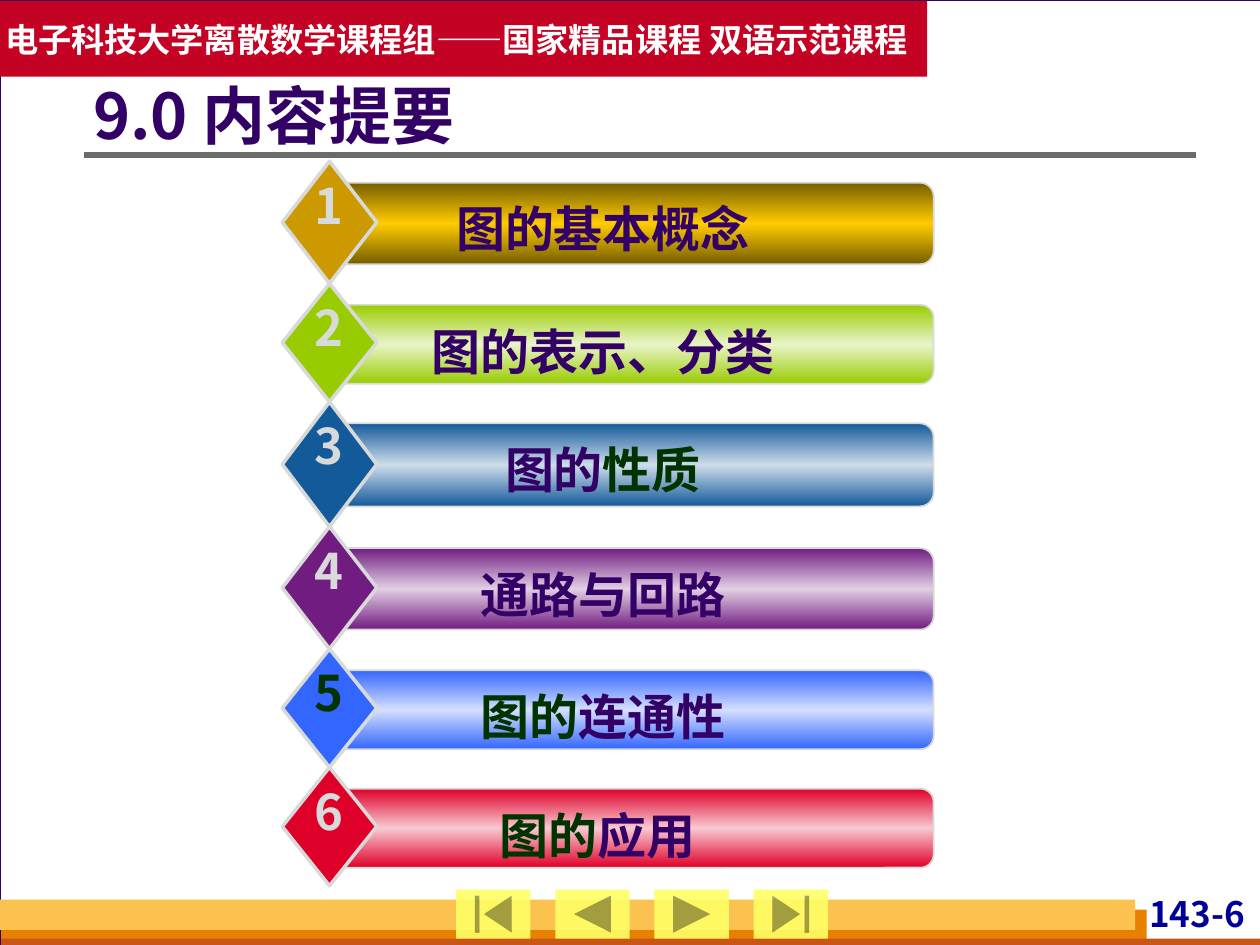
from copy import deepcopy
from dataclasses import dataclass

from lxml.etree import SubElement
from pptx import Presentation
from pptx.dml.color import RGBColor
from pptx.enum.shapes import MSO_CONNECTOR, MSO_SHAPE
from pptx.enum.text import MSO_ANCHOR, MSO_AUTO_SIZE, PP_ALIGN
from pptx.oxml.ns import qn
from pptx.util import Inches, Pt


@dataclass(frozen=True)
class Theme:
    font: str = "Noto Sans CJK SC"
    white: str = "FFFFFF"
    purple: str = "330066"
    green: str = "003300"
    silver: str = "D8DADA"
    navy: str = "000099"
    rule: str = "6B6B6B"
    banner: str = "C30224"
    button: str = "FFFF66"
    amber: str = "FCC24F"
    orange: str = "E88000"
    rust: str = "C95616"
    title_size: int = 36
    item_size: int = 28
    page_size: int = 20
    banner_size: int = 19


theme = Theme()


def add_block(shapes, kind, box, fill=None, line=None, line_width=1):
    """Add a preset shape without shadow; box is left, top, width, height in inches."""
    block = shapes.add_shape(kind, *(Inches(length) for length in box))
    block.shadow.inherit = False
    if fill:
        block.fill.solid()
        block.fill.fore_color.rgb = RGBColor.from_string(fill)
    if line:
        block.line.color.rgb = RGBColor.from_string(line)
        block.line.width = Pt(line_width)
    else:
        block.line.fill.background()
    return block


def write(shape, runs, size, align=PP_ALIGN.LEFT, anchor=MSO_ANCHOR.TOP,
          wrap=True, margins=(0.1, 0.05, 0.1, 0.05)):
    """Fill a shape with one bold paragraph of (text, colour) runs."""
    frame = shape.text_frame
    frame.auto_size = MSO_AUTO_SIZE.NONE
    frame.word_wrap = wrap
    frame.vertical_anchor = anchor
    (frame.margin_left, frame.margin_top,
     frame.margin_right, frame.margin_bottom) = map(Inches, margins)
    paragraph = frame.paragraphs[0]
    paragraph.alignment = align
    for text, color in runs:
        run = paragraph.add_run()
        run.text = text
        run.font.size = Pt(size)
        run.font.bold = True
        run.font.color.rgb = RGBColor.from_string(color)
        run.font.name = theme.font
        SubElement(run.font._element, qn("a:ea")).set("typeface", theme.font)


prs = Presentation()
prs.slide_width, prs.slide_height = Inches(10), Inches(7.5)
slide = prs.slides.add_slide(prs.slide_layouts[5])
shapes = slide.shapes
slide.background.fill.solid()
slide.background.fill.fore_color.rgb = RGBColor.from_string(theme.silver)

# Page and footer bands
add_block(shapes, MSO_SHAPE.RECTANGLE, (0, 0, 10.01, 7.5), theme.white, theme.purple, 0.75)
footer_bands = [
    ((0.01, 7.22, 9.09, 0.28), theme.orange),
    ((0.01, 7.45, 10, 0.08), theme.rust),
    ((0, 7.14, 9.01, 0.24), theme.amber),
]
for box, color in footer_bands:
    add_block(shapes, MSO_SHAPE.RECTANGLE, box, color)

page_number = shapes.add_textbox(Inches(8.7), Inches(7.08), Inches(1.22), Inches(0.38))
write(page_number, [("143-6", theme.navy)], theme.page_size, PP_ALIGN.RIGHT,
      margins=(0.04, 0, 0.04, 0))

title_rule = shapes.add_connector(
    MSO_CONNECTOR.STRAIGHT, Inches(0.67), Inches(1.23), Inches(9.49), Inches(1.23))
title_rule.line.color.rgb = RGBColor.from_string(theme.rule)
title_rule.line.width = Pt(3)
SubElement(title_rule.element.spPr, qn("a:effectLst"))

# Navigation buttons
button_kinds = [
    MSO_SHAPE.ACTION_BUTTON_BEGINNING,
    MSO_SHAPE.ACTION_BUTTON_BACK_OR_PREVIOUS,
    MSO_SHAPE.ACTION_BUTTON_FORWARD_OR_NEXT,
    MSO_SHAPE.ACTION_BUTTON_END,
]
for index, kind in enumerate(button_kinds):
    button = add_block(shapes, kind, (3.62 + 0.787 * index, 7.06, 0.59, 0.39), theme.button)
    button_color = button.element.spPr.find(qn("a:solidFill"))[0]
    SubElement(button_color, qn("a:alpha")).set("val", "90000")

# Banner and title
banner = add_block(shapes, MSO_SHAPE.RECTANGLE, (0, 0.01, 7.36, 0.6), theme.banner)
write(banner, [("电子科技大学离散数学课程组——国家精品课程 双语示范课程", theme.white)],
      theme.banner_size, anchor=MSO_ANCHOR.MIDDLE, wrap=False,
      margins=(0.04, 0.05, 0.04, 0.05))

title = shapes.title
shapes.element.append(title.element)  # bring in front of the page
title.left, title.top = Inches(0.74), Inches(0.56)
title.width, title.height = Inches(8.68), Inches(0.77)
write(title, [("9.0 内容提要", theme.purple)], theme.title_size,
      anchor=MSO_ANCHOR.MIDDLE, margins=(0, 0.05, 0.1, 0.05))
title.text_frame.paragraphs[0].line_spacing = 0.9

# Topics: diamond colour, bar edge, bar centre, diamond height, number colour, label
topics = [
    ("CC9900", "765E00", "FFCC00", 0.97, theme.silver, [("图的基本概念", theme.purple)]),
    ("99CC00", "99CC00", "E9F4C9", 0.94, theme.silver, [("图的表示、分类", theme.purple)]),
    ("135A9A", "135A9A", "CDDCEA", 0.99, theme.silver,
     [("图的", theme.purple), ("性质", theme.green)]),
    ("711C81", "711C81", "E1CFE4", 0.97, theme.silver, [("通路与回路", theme.purple)]),
    ("3366FF", "3366FF", "D4DFFF", 0.94, theme.green,
     [("图的", theme.green), ("连通性", theme.purple)]),
    ("DF0029", "DF0029", "F8C9D2", 0.94, theme.silver,
     [("图的", theme.green), ("应用 ", theme.purple)]),
]
top = 1.28
for number, (color, edge, centre, height, number_color, label) in enumerate(topics, 1):
    row = shapes.add_group_shape().shapes
    bar = add_block(row, MSO_SHAPE.ROUNDED_RECTANGLE,
                    (2.66, top + 0.17, 4.75, height * 2 / 3), line=theme.silver)
    bar.fill.gradient()
    bar.fill.gradient_angle = 90
    stop_list = bar.element.spPr.find(qn("a:gradFill")).find(qn("a:gsLst"))
    stop_list.insert(1, deepcopy(stop_list[0]))
    for stop, position, shade in zip(bar.fill.gradient_stops, (0, 0.5, 1), (edge, centre, edge)):
        stop.position = position
        stop.color.rgb = RGBColor.from_string(shade)

    add_block(row, MSO_SHAPE.DIAMOND, (2.24, top, 0.75, height), color, theme.silver, 2)
    label_box = row.add_textbox(Inches(2.91), Inches(top + 0.25), Inches(3.75), Inches(0.57))
    write(label_box, label, theme.item_size, PP_ALIGN.CENTER)
    number_box = row.add_textbox(Inches(2.4), Inches(top + 0.06), Inches(0.42), Inches(0.57))
    write(number_box, [(str(number), number_color)], theme.item_size, PP_ALIGN.CENTER, wrap=False)
    top += height

prs.save("out.pptx")
